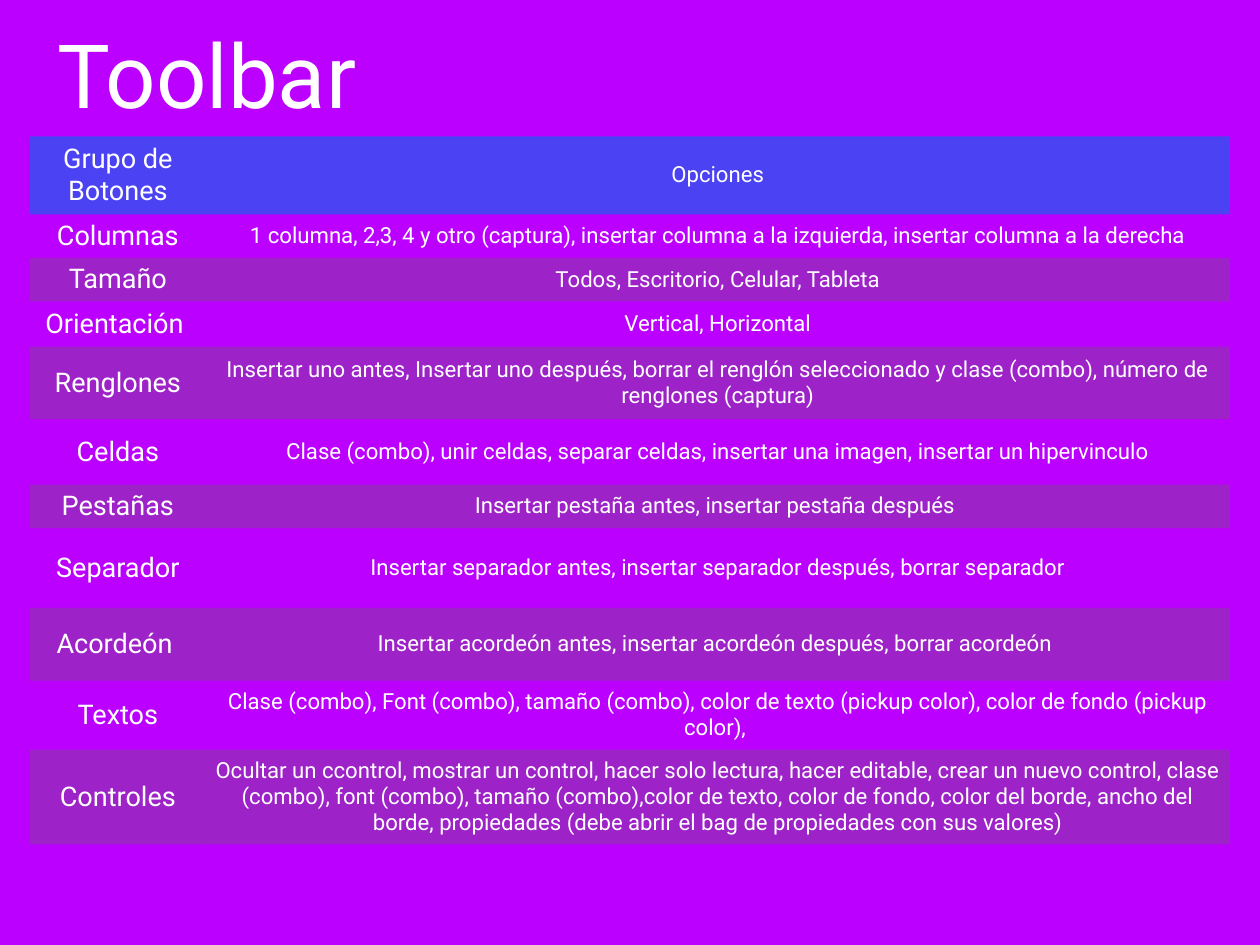
from dataclasses import dataclass

from lxml.etree import SubElement
from pptx import Presentation
from pptx.dml.color import RGBColor
from pptx.enum.text import MSO_ANCHOR, PP_ALIGN
from pptx.oxml.ns import qn
from pptx.util import Pt


@dataclass(frozen=True)
class Theme:
    background: str = "BC00FF"
    text: str = "FFFFFF"
    header: str = "0071EB"
    header_opacity: int = 60
    band: str = "676164"
    band_opacity: int = 36
    font: str = "Roboto"
    title_size: int = 72
    group_size: int = 22
    options_size: int = 18
    inset: float = 4.5
    plain_table: str = "{2D5ABB26-0587-4C30-8999-92F81FD0307C}"


THEME = Theme()

TOOLBAR_ROWS = [
    ("Grupo de Botones", "Opciones", 63.4),
    ("Columnas", "1 columna, 2,3, 4 y otro (captura), insertar columna a la izquierda, "
     "insertar columna a la derecha", 32.4),
    ("Tamaño", "Todos, Escritorio, Celular, Tableta", 29.5),
    ("Orientación ", "Vertical, Horizontal", 36.7),
    ("Renglones", "Insertar uno antes, Insertar uno después, borrar el renglón seleccionado "
     "y clase (combo), número de renglones (captura)", 59),
    ("Celdas", "Clase (combo), unir celdas, separar celdas, insertar una imagen, "
     "insertar un hipervinculo", 53.3),
    ("Pestañas", "Insertar pestaña antes, insertar pestaña después ", 29.5),
    ("Separador", "Insertar separador antes, insertar separador después, borrar separador", 64.8),
    ("Acordeón ", "Insertar acordeón antes, insertar acordeón después, borrar acordeón ", 59),
    ("Textos", "Clase (combo), Font (combo), tamaño (combo), color de texto (pickup color), "
     "color de fondo (pickup color), ", 56.2),
    ("Controles", "Ocultar un ccontrol, mostrar un control, hacer solo lectura, hacer editable, "
     "crear un nuevo control, clase (combo), font (combo), tamaño (combo),color de texto, "
     "color de fondo, color del borde, ancho del borde, propiedades (debe abrir el bag de "
     "propiedades con sus valores)", 77),
]


def write_text(holder, text, size, align=PP_ALIGN.LEFT):
    holder.margin_left = holder.margin_right = Pt(THEME.inset)
    holder.margin_top = holder.margin_bottom = Pt(THEME.inset)
    holder.vertical_anchor = MSO_ANCHOR.MIDDLE
    frame = getattr(holder, "text_frame", holder)
    frame.word_wrap = True
    paragraph = frame.paragraphs[0]
    paragraph.alignment = align
    run = paragraph.add_run()
    run.text = text
    run.font.size = Pt(size)
    run.font.name = THEME.font
    run.font.bold = False
    run.font.color.rgb = RGBColor.from_string(THEME.text)


def fill_cell(cell, color, opacity):
    cell.fill.solid()
    cell.fill.fore_color.rgb = RGBColor.from_string(color)
    tint = cell.fill._xPr.find(qn("a:solidFill"))[0]
    SubElement(tint, qn("a:alpha")).set("val", str(opacity * 1000))


def shade_cell(cell, row_index):
    if row_index == 0:
        fill_cell(cell, THEME.header, THEME.header_opacity)
    elif row_index % 2 == 0:
        fill_cell(cell, THEME.band, THEME.band_opacity)
    else:
        cell.fill.background()


def add_title(slide, left, top, width, height):
    title = slide.shapes.add_textbox(Pt(left), Pt(top), Pt(width), Pt(height))
    write_text(title.text_frame, "Toolbar", THEME.title_size)


def add_toolbar_table(slide, left, top, width, group_width):
    height = sum(row_height for *_, row_height in TOOLBAR_ROWS)
    toolbar = slide.shapes.add_table(
        len(TOOLBAR_ROWS), 2, Pt(left), Pt(top), Pt(width), Pt(height)).table
    toolbar.first_row = toolbar.horz_banding = False
    toolbar._tbl.tblPr.find(qn("a:tableStyleId")).text = THEME.plain_table
    toolbar.columns[0].width = Pt(group_width)
    toolbar.columns[1].width = Pt(width - group_width)
    sizes = (THEME.group_size, THEME.options_size)
    for row_index, (group, options, row_height) in enumerate(TOOLBAR_ROWS):
        toolbar.rows[row_index].height = Pt(row_height)
        for column, (text, size) in enumerate(zip((group, options), sizes)):
            cell = toolbar.cell(row_index, column)
            write_text(cell, text, size, align=PP_ALIGN.CENTER)
            shade_cell(cell, row_index)


def main():
    deck = Presentation()
    deck.slide_width, deck.slide_height = Pt(1024), Pt(768)
    slide = deck.slides.add_slide(deck.slide_layouts[6])
    slide.background.fill.solid()
    slide.background.fill.fore_color.rgb = RGBColor.from_string(THEME.background)
    add_title(slide, left=42, top=-36.5, width=900, height=192)
    add_toolbar_table(slide, left=24.5, top=110.8, width=975, group_width=142.6)
    deck.save("out.pptx")


if __name__ == "__main__":
    main()
